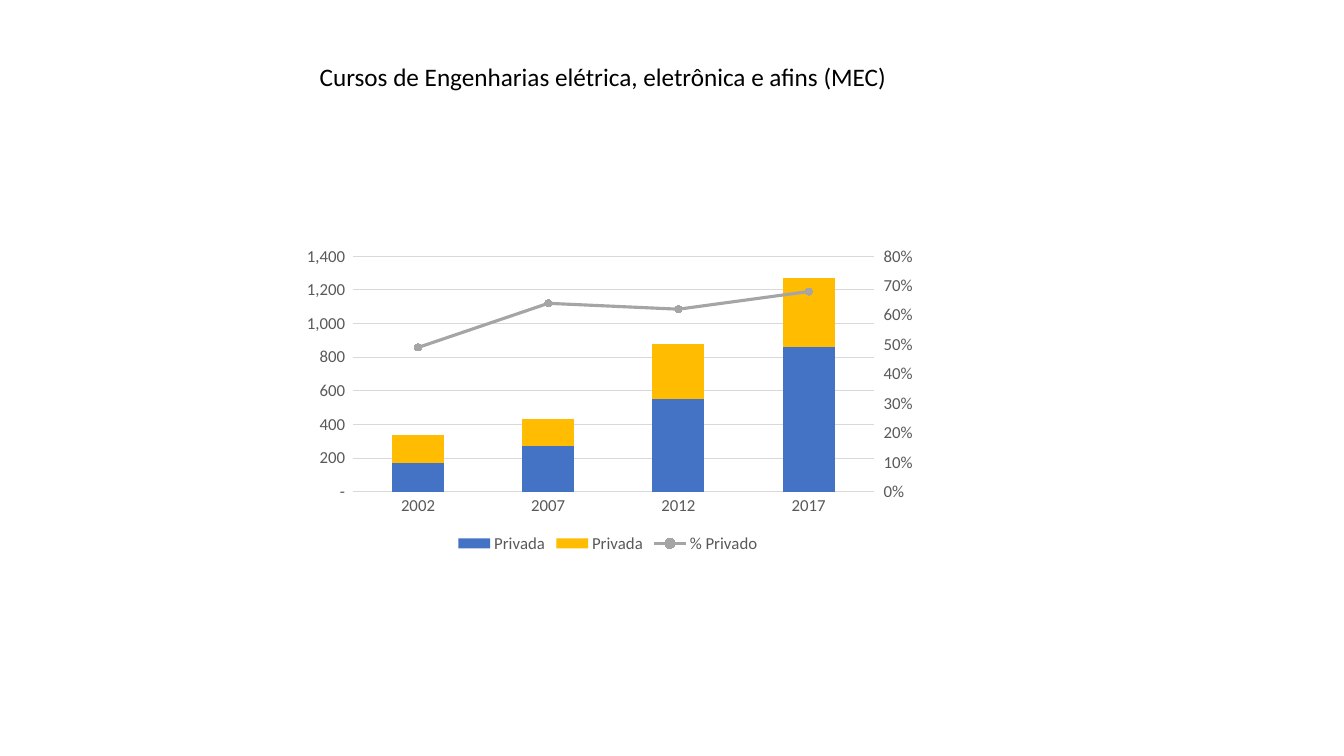
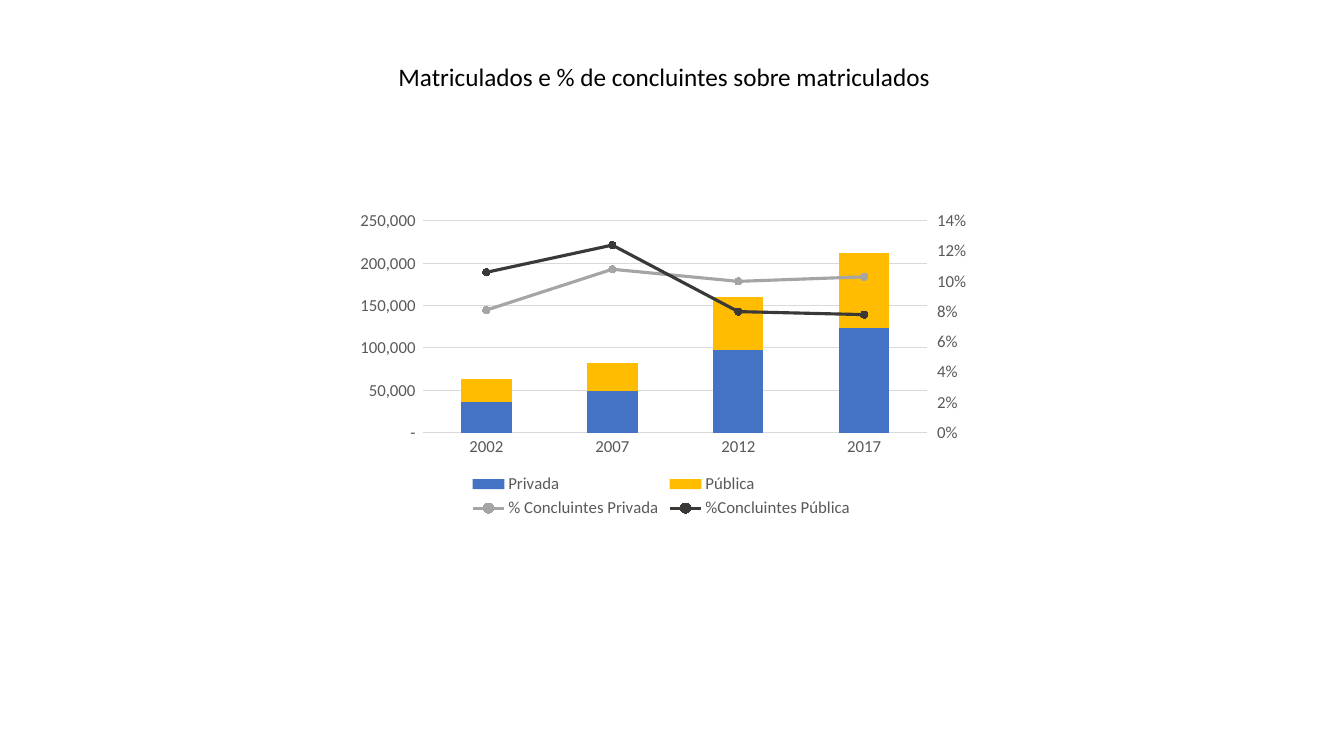
from pptx import Presentation
from pptx.chart.axis import ValueAxis
from pptx.chart.data import CategoryChartData
from pptx.dml.color import RGBColor
from pptx.enum.chart import XL_CHART_TYPE, XL_LEGEND_POSITION, XL_MARKER_STYLE, XL_TICK_MARK
from pptx.enum.text import MSO_ANCHOR, MSO_AUTO_SIZE, PP_ALIGN
from pptx.oxml import parse_xml
from pptx.oxml.ns import nsdecls, qn
from pptx.util import Inches, Pt

STACKED = XL_CHART_TYPE.COLUMN_STACKED
BOTTOM = XL_LEGEND_POSITION.BOTTOM
CIRCLE = XL_MARKER_STYLE.CIRCLE
NO_TICK = XL_TICK_MARK.NONE
OUTSIDE = XL_TICK_MARK.OUTSIDE
MIDDLE = MSO_ANCHOR.MIDDLE
NO_AUTOFIT = MSO_AUTO_SIZE.NONE
LEFT, CENTER = PP_ALIGN.LEFT, PP_ALIGN.CENTER

# Shared style
FONT = "Calibri"
COLORS = {
    "black": "000000",
    "label": "595959",
    "grid": "D9D9D9",
    "private": "4472C4",
    "public": "FFBC01",
    "gray": "A5A5A5",
    "dark": "3B3838",
}
COUNT_FORMAT = '_(* #,##0_);_(* \\(#,##0\\);_(* "-"_);_(@_)'
PERCENT_FORMAT = "0%"
TITLE_LAYOUT = 5
TITLE_LEFT, TITLE_TOP, TITLE_HEIGHT = 3.07, 0.56, 0.4
CHART_WIDTH, CHART_HEIGHT = 6.3, 3.15

# Content: columns are (name, values, colour), lines add a marker colour,
# scales are (maximum, step)
YEARS = ["2002", "2007", "2012", "2017"]
SLIDES = [
    {
        "title": "Cursos de Engenharias elétrica, eletrônica e afins (MEC)",
        "title_width": 5.89,
        "align": LEFT,
        "chart_at": (2.88, 2.38),
        "count_scale": (1400, 200),
        "percent_scale": (0.8, 0.1),
        "columns": [
            ("Privada", [170, 270, 550, 860], "private"),
            ("Privada", [170, 160, 330, 410], "public"),
        ],
        "lines": [("% Privado", [0.49, 0.64, 0.62, 0.68], "gray", "gray")],
    },
    {
        "title": " Matriculados e % de concluintes sobre matriculados",
        "title_width": 6.98,
        "align": CENTER,
        "chart_at": (3.41, 2.03),
        "count_scale": (250000, 50000),
        "percent_scale": (0.14, 0.02),
        "columns": [
            ("Privada", [36000, 49000, 98000, 123000], "private"),
            ("Pública", [27000, 33000, 62000, 89000], "public"),
        ],
        "lines": [
            ("% Concluintes Privada", [0.081, 0.108, 0.1, 0.103], "gray", "gray"),
            ("%Concluintes Pública", [0.106, 0.124, 0.08, 0.078], "dark", "black"),
        ],
    },
]

# Second plot and its axes
LINE_PLOT = f"""<c:lineChart {nsdecls("c")}>
  <c:grouping val="standard"/><c:varyColors val="0"/>
  <c:marker val="1"/><c:axId val="5001"/><c:axId val="5002"/>
</c:lineChart>"""
HIDDEN_AXIS = f"""<c:catAx {nsdecls("c")}>
  <c:axId val="5001"/><c:scaling><c:orientation val="minMax"/></c:scaling>
  <c:delete val="1"/><c:axPos val="b"/><c:crossAx val="5002"/><c:crosses val="autoZero"/>
</c:catAx>"""
RIGHT_AXIS = f"""<c:valAx {nsdecls("c")}>
  <c:axId val="5002"/><c:scaling><c:orientation val="minMax"/></c:scaling>
  <c:delete val="0"/><c:axPos val="r"/><c:tickLblPos val="nextTo"/>
  <c:crossAx val="5001"/><c:crosses val="max"/><c:crossBetween val="between"/>
</c:valAx>"""


def color(name):
    return RGBColor.from_string(COLORS[name])


def set_font(font, size, color_name):
    font.name = FONT
    font.size = Pt(size)
    font.color.rgb = color(color_name)


def set_line(line, color_name, width):
    line.color.rgb = color(color_name)
    line.width = Pt(width)


def style_axis(axis, tick):
    axis.major_tick_mark = tick
    axis.minor_tick_mark = NO_TICK
    set_font(axis.tick_labels.font, 12, "label")


def style_value_axis(axis, scale, number_format, tick):
    style_axis(axis, tick)
    axis.minimum_scale = 0
    axis.maximum_scale, axis.major_unit = scale
    axis.tick_labels.number_format = number_format
    axis.tick_labels.number_format_is_linked = False
    axis.format.line.fill.background()


def move_lines_to_right_axis(chart, first_line):
    """Move the series from first_line on to a line plot; return its value axis."""
    column_plot = chart.plots[0]
    line_series = list(column_plot.series)[first_line:]
    bar_chart = line_series[0]._element.getparent()
    line_chart = parse_xml(LINE_PLOT)
    bar_chart.addnext(line_chart)
    marker_flag = line_chart.find(qn("c:marker"))
    for series in line_series:
        element = series._element
        for flag in element.findall(qn("c:invertIfNegative")):
            element.remove(flag)
        marker_flag.addprevious(element)
    right_axis, hidden_axis = parse_xml(RIGHT_AXIS), parse_xml(HIDDEN_AXIS)
    bar_chart.getparent().findall(qn("c:valAx"))[-1].addnext(right_axis)
    right_axis.addnext(hidden_axis)
    return ValueAxis(right_axis)


def add_title(slide, content):
    title = slide.shapes.title
    title.left, title.top = Inches(TITLE_LEFT), Inches(TITLE_TOP)
    title.width, title.height = Inches(content["title_width"]), Inches(TITLE_HEIGHT)
    frame = title.text_frame
    frame.auto_size = NO_AUTOFIT
    frame.word_wrap = content["align"] == CENTER
    frame.vertical_anchor = MIDDLE
    paragraph = frame.paragraphs[0]
    paragraph.alignment = content["align"]
    run = paragraph.add_run()
    run.text = content["title"]
    set_font(run.font, 18, "black")


def add_combined_chart(slide, content):
    columns, lines = content["columns"], content["lines"]
    data = CategoryChartData()
    data.categories = YEARS
    for name, values, _ in columns:
        data.add_series(name, values, COUNT_FORMAT)
    for name, values, _, _ in lines:
        data.add_series(name, values, PERCENT_FORMAT)
    left, top = content["chart_at"]
    chart = slide.shapes.add_chart(
        STACKED, Inches(left), Inches(top),
        Inches(CHART_WIDTH), Inches(CHART_HEIGHT), data).chart
    chart.has_title = False
    set_font(chart.font, 10, "black")
    # value_axis means the left axis only while the chart has no second one
    left_axis = chart.value_axis
    right_axis = move_lines_to_right_axis(chart, len(columns))

    # Columns and lines
    column_plot, line_plot = chart.plots
    column_plot.gap_width, column_plot.overlap = 150, 100
    column_plot.vary_by_categories = False
    for series, (_, _, fill) in zip(column_plot.series, columns):
        series.format.fill.solid()
        series.format.fill.fore_color.rgb = color(fill)
    for series, (_, _, stroke, marker_fill) in zip(line_plot.series, lines):
        series.smooth = False
        set_line(series.format.line, stroke, 2.25)
        marker = series.marker
        marker.style, marker.size = CIRCLE, 5
        marker.format.fill.solid()
        marker.format.fill.fore_color.rgb = color(marker_fill)
        set_line(marker.format.line, marker_fill, 0.75)

    # Axes
    style_axis(chart.category_axis, NO_TICK)
    set_line(chart.category_axis.format.line, "grid", 0.75)
    style_value_axis(left_axis, content["count_scale"], COUNT_FORMAT, NO_TICK)
    left_axis.has_major_gridlines = True
    set_line(left_axis.major_gridlines.format.line, "grid", 0.75)
    style_value_axis(right_axis, content["percent_scale"], PERCENT_FORMAT, OUTSIDE)

    # Legend
    chart.has_legend = True
    chart.legend.position = BOTTOM
    chart.legend.include_in_layout = False
    set_font(chart.legend.font, 12, "label")


presentation = Presentation()
presentation.slide_width, presentation.slide_height = Inches(13.33), Inches(7.5)
for content in SLIDES:
    slide = presentation.slides.add_slide(presentation.slide_layouts[TITLE_LAYOUT])
    add_combined_chart(slide, content)
    add_title(slide, content)
presentation.save("out.pptx")
